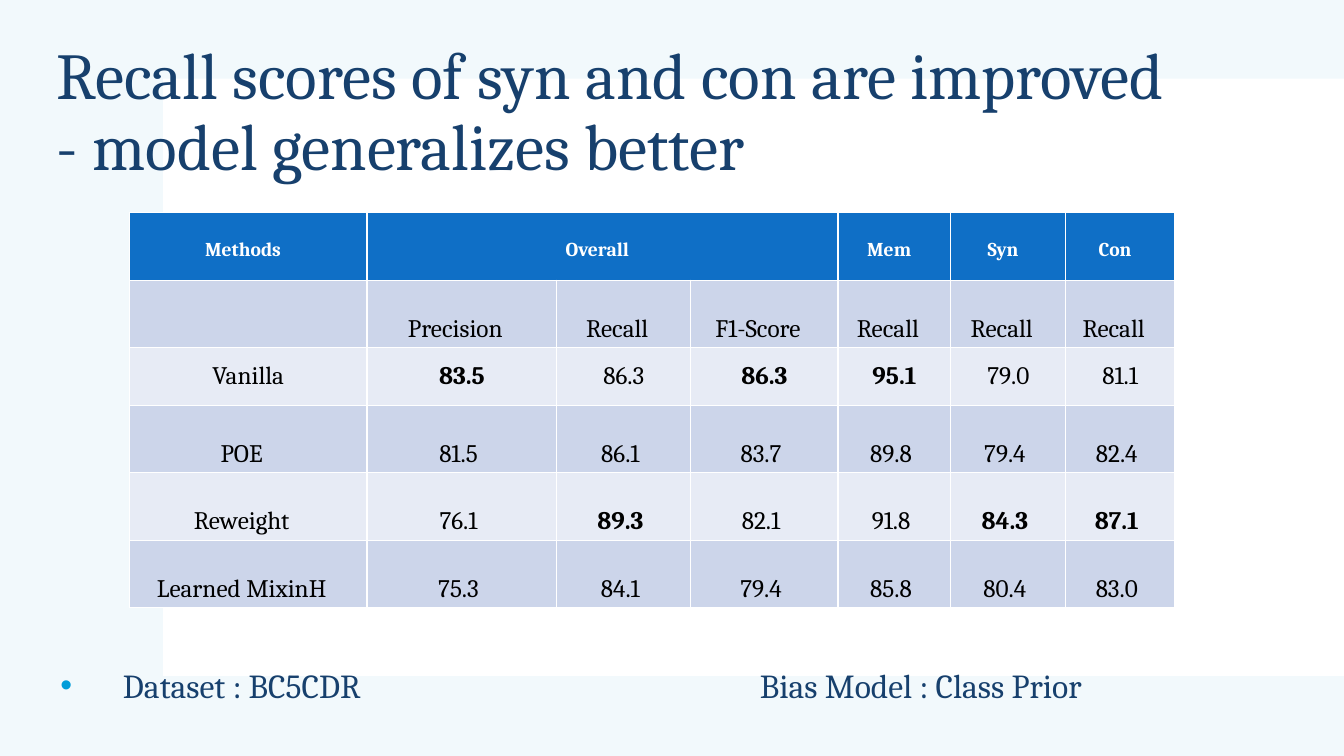
import dataclasses

import pptx
import pptx.dml.color
import pptx.enum.shapes
import pptx.enum.text
import pptx.oxml
import pptx.oxml.ns
import pptx.util

Cm = pptx.util.Cm
ANCHOR = pptx.enum.text.MSO_ANCHOR


@dataclasses.dataclass(frozen=True)
class Theme:
    """Colours, font and type sizes of the deck."""
    font: str = "Cambria"
    navy: str = "17406D"
    header: str = "0F6FC6"
    bands: tuple = ("CCD5EA", "E7EBF5")
    tint: str = "DBEFF9"
    bullet: str = "009DD9"
    white: str = "FFFFFF"
    black: str = "000000"
    title_size: float = 46.8
    note_size: float = 24
    cell_size: float = 18
    header_size: float = 14


THEME = Theme()
HEADINGS = ["Methods", "Overall", "", "", "Mem", "Syn", "Con"]
MEASURES = ["", "Precision", "Recall", "F1-Score", "Recall", "Recall", "Recall"]
SCORES = [
    ["Vanilla", "83.5", "86.3", "86.3", "95.1", "79.0", "81.1"],
    ["POE", "81.5", "86.1", "83.7", "89.8", "79.4", "82.4"],
    ["Reweight", "76.1", "89.3", "82.1", "91.8", "84.3", "87.1"],
    ["Learned MixinH", "75.3", "84.1", "79.4", "85.8", "80.4", "83.0"],
]
BEST = {(2, 1), (2, 3), (2, 4), (4, 2), (4, 5), (4, 6)}
COLUMN_WIDTHS = [5.99, 4.78, 3.38, 3.71, 2.84, 2.9, 2.74]
ROW_HEIGHTS = [1.7, 1.7, 1.45, 1.7, 1.7, 1.7]
VANILLA_ROW = 2


def colour(code):
    """Turn a hex code into a colour."""
    return pptx.dml.color.RGBColor.from_string(code)


def add_span(para, text, size, code, bold=False):
    """Add one formatted run to a paragraph."""
    span = para.add_run()
    span.text = text
    span.font.name = THEME.font
    span.font.size = pptx.util.Pt(size)
    span.font.bold = bold
    span.font.color.rgb = colour(code)


def add_panel(page, box, code, opacity=100):
    """Draw one plain background rectangle."""
    panel = page.shapes.add_shape(pptx.enum.shapes.MSO_SHAPE.RECTANGLE, *map(Cm, box))
    panel.shadow.inherit = False
    panel.line.fill.background()
    panel.fill.solid()
    panel.fill.fore_color.rgb = colour(code)
    if opacity < 100:
        tone = next(panel.element.iter(pptx.oxml.ns.qn("a:srgbClr")))
        pptx.oxml.ns.qn("a:alpha")
        alpha = tone.makeelement(pptx.oxml.ns.qn("a:alpha"), {"val": str(opacity * 1000)})
        tone.append(alpha)


def add_title(page, box, text):
    """Place the title placeholder in front of the background."""
    title = page.shapes.title
    title.element.getparent().append(title.element)
    title.left, title.top, title.width, title.height = map(Cm, box)
    frame = title.text_frame
    frame.word_wrap = True
    frame.auto_size = pptx.enum.text.MSO_AUTO_SIZE.NONE
    frame.vertical_anchor = ANCHOR.MIDDLE
    para = frame.paragraphs[0]
    para.alignment = pptx.enum.text.PP_ALIGN.LEFT
    para.line_spacing = 0.9
    add_span(para, text, THEME.title_size, THEME.navy)


def fill_cell(cell, text, row, column):
    """Format one table cell according to its row and column."""
    is_header = row == 0
    cell.fill.solid()
    cell.fill.fore_color.rgb = colour(THEME.header if is_header else THEME.bands[(row - 1) % 2])
    is_label = row == 1 or column == 0
    cell.margin_left = Cm(0)
    cell.margin_right = Cm(0.26 if is_header else 0.33 if is_label else 0.17)
    cell.margin_top = Cm(0.65 if is_header else 0)
    cell.margin_bottom = Cm(0 if is_header else 0.1)
    cell.vertical_anchor = ANCHOR.TOP if is_header else ANCHOR.BOTTOM
    if row == VANILLA_ROW:
        cell.margin_right = cell.margin_bottom = Cm(0)
        cell.vertical_anchor = ANCHOR.MIDDLE
    if text:
        para = cell.text_frame.paragraphs[0]
        para.alignment = pptx.enum.text.PP_ALIGN.CENTER
        size = THEME.header_size if is_header else THEME.cell_size
        code = THEME.white if is_header else THEME.black
        add_span(para, text, size, code, is_header or (row, column) in BEST)


def add_score_table(page, left, top):
    """Build the table of scores from its top left corner."""
    rows = [HEADINGS, MEASURES, *SCORES]
    table = page.shapes.add_table(
        len(rows), len(HEADINGS), Cm(left), Cm(top),
        Cm(sum(COLUMN_WIDTHS)), Cm(sum(ROW_HEIGHTS))).table
    for column, width in zip(table.columns, COLUMN_WIDTHS):
        column.width = Cm(width)
    for line, height in zip(table.rows, ROW_HEIGHTS):
        line.height = Cm(height)
    for row, texts in enumerate(rows):
        for column, text in enumerate(texts):
            fill_cell(table.cell(row, column), text, row, column)
    table.cell(0, 1).merge(table.cell(0, 3))


def add_note(page, box, dataset, bias_model):
    """Write the bulleted note, its two parts set apart by a tab stop."""
    frame = page.shapes.add_textbox(*map(Cm, box)).text_frame
    frame.word_wrap = True
    frame.margin_top = Cm(0)
    para = frame.paragraphs[0]
    para.line_spacing = 0.9
    add_span(para, dataset + "\t", THEME.note_size, THEME.navy)
    add_span(para, bias_model, THEME.note_size, THEME.navy)
    settings = para._p.get_or_add_pPr()
    settings.set("marL", str(Cm(1.58)))
    settings.set("indent", str(Cm(-1.58)))
    namespace = pptx.oxml.ns.nsdecls("a")
    for markup in (
        f'<a:buClr {namespace}><a:srgbClr val="{THEME.bullet}"/></a:buClr>',
        f'<a:buFont {namespace} typeface="Arial"/>',
        f'<a:buChar {namespace} char="•"/>',
        f'<a:tabLst {namespace}><a:tab pos="{Cm(17.63)}" algn="l"/></a:tabLst>',
    ):
        settings.append(pptx.oxml.parse_xml(markup))


def build_results_page(deck):
    """Compose the page of recall results."""
    page = deck.slides.add_slide(deck.slide_layouts[5])
    add_panel(page, (0, 0, 33.87, 19.05), THEME.tint, opacity=35)
    add_panel(page, (4.11, 1.98, 29.76, 15.05), THEME.white)
    add_title(page, (1.17, 1.02, 29.29, 3.68),
              "Recall scores of syn and con are improved - model generalizes better")
    add_note(page, (1.27, 16.86, 29.29, 1.2), "Dataset : BC5CDR", "Bias Model : Class Prior")
    add_score_table(page, 3.26, 5.36)


def main():
    """Create and save the deck."""
    deck = pptx.Presentation()
    deck.slide_width, deck.slide_height = Cm(33.87), Cm(19.05)
    build_results_page(deck)
    deck.save("out.pptx")


if __name__ == "__main__":
    main()
